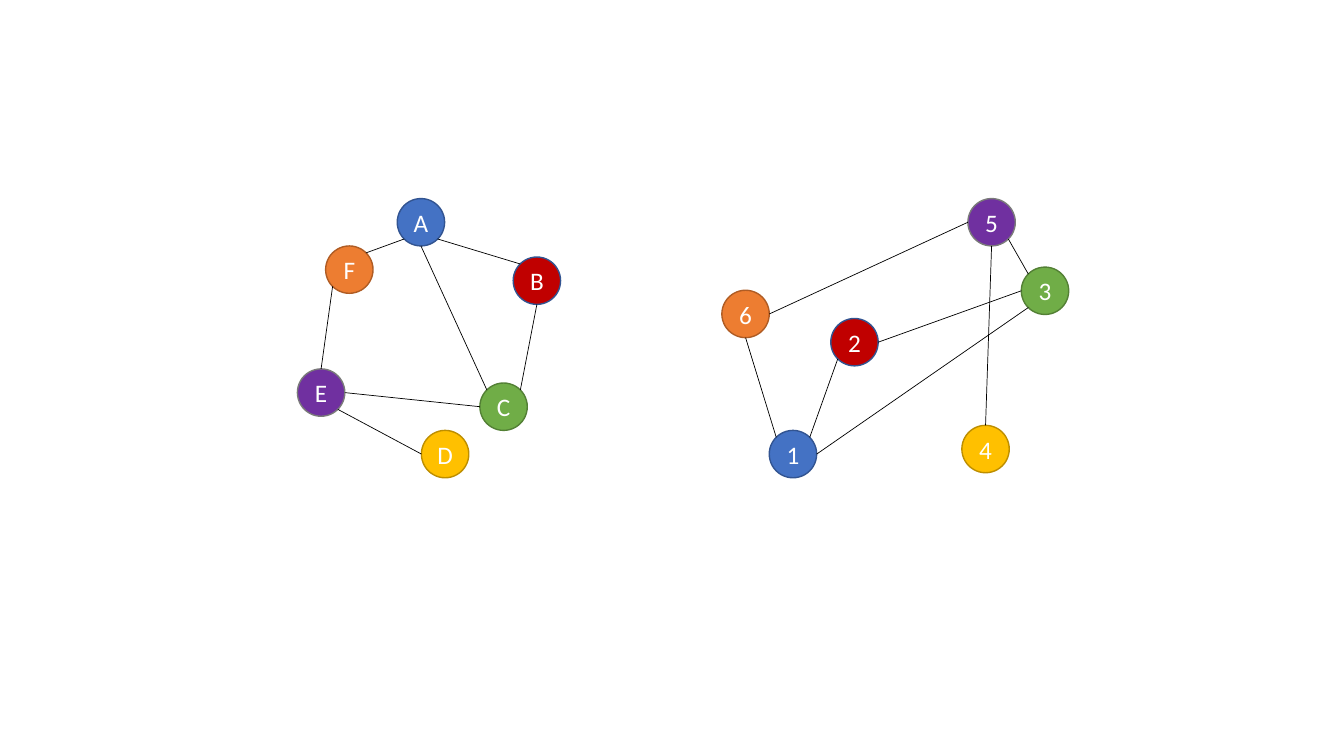
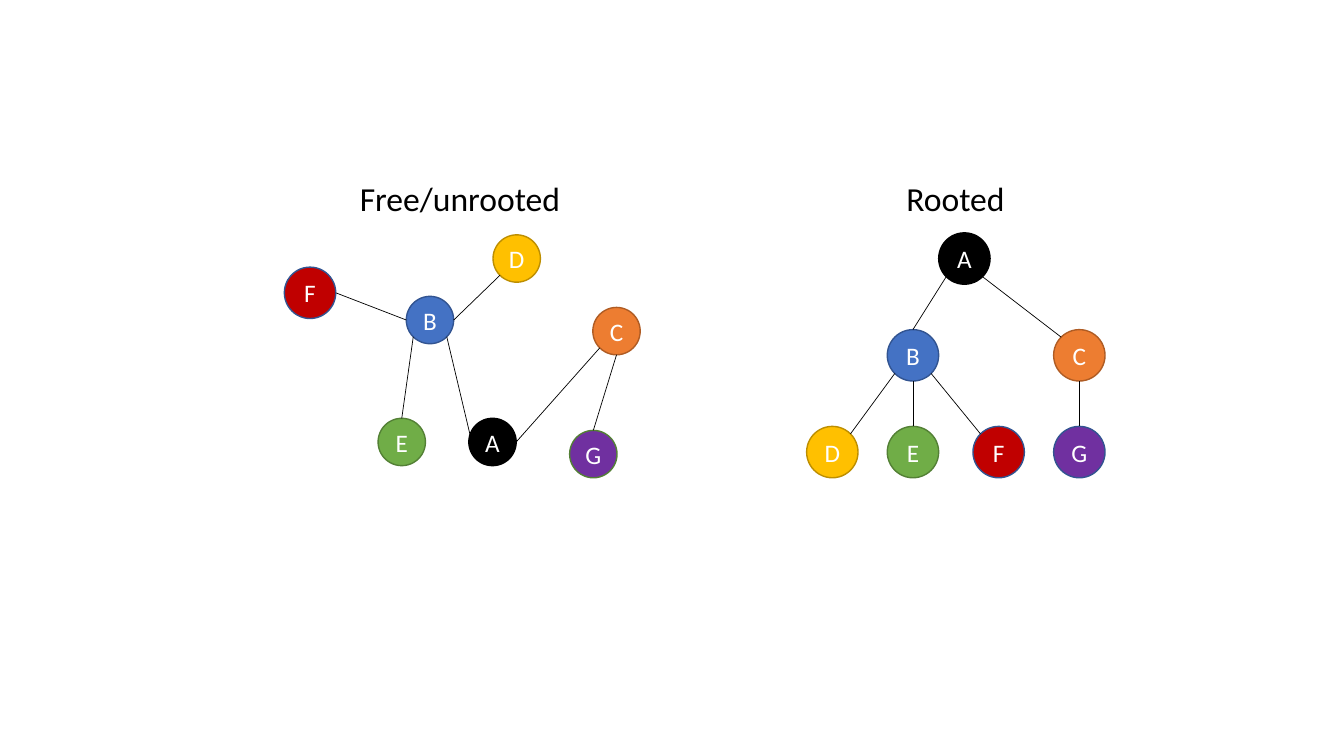
"""Build two slides of node-and-edge diagrams: a graph drawn two ways, and free and rooted trees."""
from math import cos, radians, sin

from lxml import etree
from pptx import Presentation, util as u
from pptx.dml.color import RGBColor
from pptx.enum import shapes, text
from pptx.oxml.ns import qn

FONT, WHITE, BLACK = "Calibri", "FFFFFF", "000000"
PALETTE = {
    "orange": ("ED7D31", "AF5C24"),
    "purple": ("7030A0", "7A7A7A"),
    "purple, green rim": ("7030A0", "538035"),
    "purple, blue rim": ("7030A0", "325491"),
    "yellow": ("FFC000", "BD8E00"),
    "green": ("70AD47", "538035"),
    "red": ("C00000", "325491"),
    "blue": ("4472C4", "325491"),
    "black": (BLACK, BLACK),
}
SITES = ["top", "top left", "left", "bottom left", "bottom", "bottom right", "right", "top right"]
SMALL, LARGE = 0.47, 0.51
LABEL_TOP, LABEL_HEIGHT = 1.72, 0.5
TOP, MIDDLE, BOTTOM = (2.31 + 0.96 * row for row in range(3))

LETTER_GRAPH = {
    "nodes": [
        ("F", "orange", 3.23, 2.44, SMALL), ("E", "purple", 2.95, 3.66, SMALL),
        ("D", "yellow", 4.18, 4.27, SMALL), ("C", "green", 4.76, 3.8, SMALL),
        ("B", "red", 5.09, 2.55, SMALL), ("A", "blue", 3.94, 1.97, SMALL),
    ],
    "edges": [
        ("F", "top right", "A", "bottom left"), ("E", "top", "F", "bottom left"),
        ("A", "bottom right", "B", "top left"), ("A", "bottom", "C", "top left"),
        ("E", "bottom right", "D", "left"), ("C", "top right", "B", "bottom"),
        ("E", "right", "C", "left"),
    ],
}
NUMBER_GRAPH = {
    "nodes": [
        ("6", "orange", 7.16, 2.88, SMALL), ("5", "purple", 9.6, 1.97, SMALL),
        ("4", "yellow", 9.54, 4.22, SMALL), ("3", "green", 10.13, 2.65, SMALL),
        ("2", "red", 8.24, 3.16, SMALL), ("1", "blue", 7.63, 4.27, SMALL),
    ],
    "edges": [
        ("6", "bottom", "1", "top left"), ("5", "left", "6", "right"),
        ("1", "top right", "2", "bottom left"), ("1", "right", "3", "bottom left"),
        ("5", "bottom", "4", "top"), ("3", "left", "2", "right"),
        ("5", "bottom right", "3", "top left"),
    ],
}
FREE_TREE = {
    "label": ("Free/unrooted", 3.47, 2.21),
    "nodes": [
        ("B", "blue", 4.03, 2.94, SMALL), ("E", "green", 3.75, 4.15, SMALL),
        ("D", "yellow", 4.89, 2.33, SMALL), ("G", "purple, green rim", 5.65, 4.27, SMALL),
        ("C", "orange", 5.88, 3.05, SMALL), ("A", "black", 4.65, 4.15, SMALL),
        ("F", "red", 2.82, 2.65, LARGE),
    ],
    "edges": [
        ("B", "bottom right", "A", "bottom left"), ("E", "top", "B", "bottom left"),
        ("A", "right", "C", "bottom left"), ("C", "bottom", "G", "top"),
        ("B", "right", "D", "bottom left"), ("F", "right", "B", "left"),
    ],
}
ROOTED_TREE = {
    "label": ("Rooted", 8.89, 1.19),
    "nodes": [
        ("A", "black", 9.31, TOP, LARGE), ("C", "orange", 10.45, MIDDLE, LARGE),
        ("B", "blue", 8.8, MIDDLE, LARGE), ("G", "purple, blue rim", 10.45, BOTTOM, LARGE),
        ("F", "red", 9.65, BOTTOM, LARGE), ("E", "green", 8.8, BOTTOM, LARGE),
        ("D", "yellow", 8, BOTTOM, LARGE),
    ],
    "edges": [
        ("A", "bottom left", "B", "top"), ("A", "bottom right", "C", "top left"),
        ("E", "top", "B", "bottom"), ("B", "bottom left", "D", "top right"),
        ("F", "top left", "B", "bottom right"), ("C", "bottom", "G", "top"),
    ],
}
SLIDES = [(LETTER_GRAPH, NUMBER_GRAPH), (FREE_TREE, ROOTED_TREE)]


def color(value):
    return RGBColor.from_string(value)


def write(shape, words, size, ink):
    shape.text_frame.text = words
    para = shape.text_frame.paragraphs[0]
    font = para.runs[0].font
    font.name, font.size = FONT, u.Pt(size)
    font.color.rgb = color(ink)
    return para


def add_node(group, name, paint, left, top, size):
    node = group.shapes.add_shape(
        shapes.MSO_SHAPE.OVAL, *(u.Inches(length) for length in (left, top, size, size)))
    fill, rim = PALETTE[paint]
    node.shadow.inherit = False
    node.fill.solid()
    node.fill.fore_color.rgb = color(fill)
    node.line.color.rgb = color(rim)
    node.line.width = u.Pt(1)
    frame = node.text_frame
    frame.margin_left = frame.margin_right = frame.margin_top = frame.margin_bottom = 0
    frame.vertical_anchor = text.MSO_ANCHOR.MIDDLE
    write(node, name, 18, WHITE).alignment = text.PP_ALIGN.CENTER
    return node


def site_point(node, site):
    angle = radians(90 + 45 * SITES.index(site))
    radius = node.width / 2
    return (round(node.left + radius * (1 + cos(angle))),
            round(node.top + radius * (1 - sin(angle))))


def add_edge(group, start, start_site, end, end_site):
    edge = group.shapes.add_connector(
        shapes.MSO_CONNECTOR.STRAIGHT, *site_point(start, start_site), *site_point(end, end_site))
    edge.line.color.rgb = color(BLACK)
    edge.line.width = u.Pt(0.5)
    etree.SubElement(edge._element.spPr, qn("a:effectLst"))
    joints = edge._element.nvCxnSpPr.cNvCxnSpPr
    for tag, node, site in (("a:stCxn", start, start_site), ("a:endCxn", end, end_site)):
        etree.SubElement(joints, qn(tag), id=str(node.shape_id), idx=str(SITES.index(site)))


def add_label(group, words, left, width):
    box = group.shapes.add_textbox(
        *(u.Inches(length) for length in (left, LABEL_TOP, width, LABEL_HEIGHT)))
    box.text_frame.word_wrap = False
    box.text_frame.auto_size = text.MSO_AUTO_SIZE.SHAPE_TO_FIT_TEXT
    write(box, words, 24, BLACK)


def add_diagram(page, diagram):
    group = page.shapes.add_group_shape()
    nodes = {node[0]: add_node(group, *node) for node in diagram["nodes"]}
    for start, start_site, end, end_site in diagram["edges"]:
        add_edge(group, nodes[start], start_site, nodes[end], end_site)
    if "label" in diagram:
        add_label(group, *diagram["label"])


def main():
    deck = Presentation()
    deck.slide_width, deck.slide_height = u.Inches(13.33), u.Inches(7.5)
    for diagrams in SLIDES:
        page = deck.slides.add_slide(deck.slide_layouts[6])
        for diagram in diagrams:
            add_diagram(page, diagram)
    deck.save("out.pptx")


if __name__ == "__main__":
    main()
